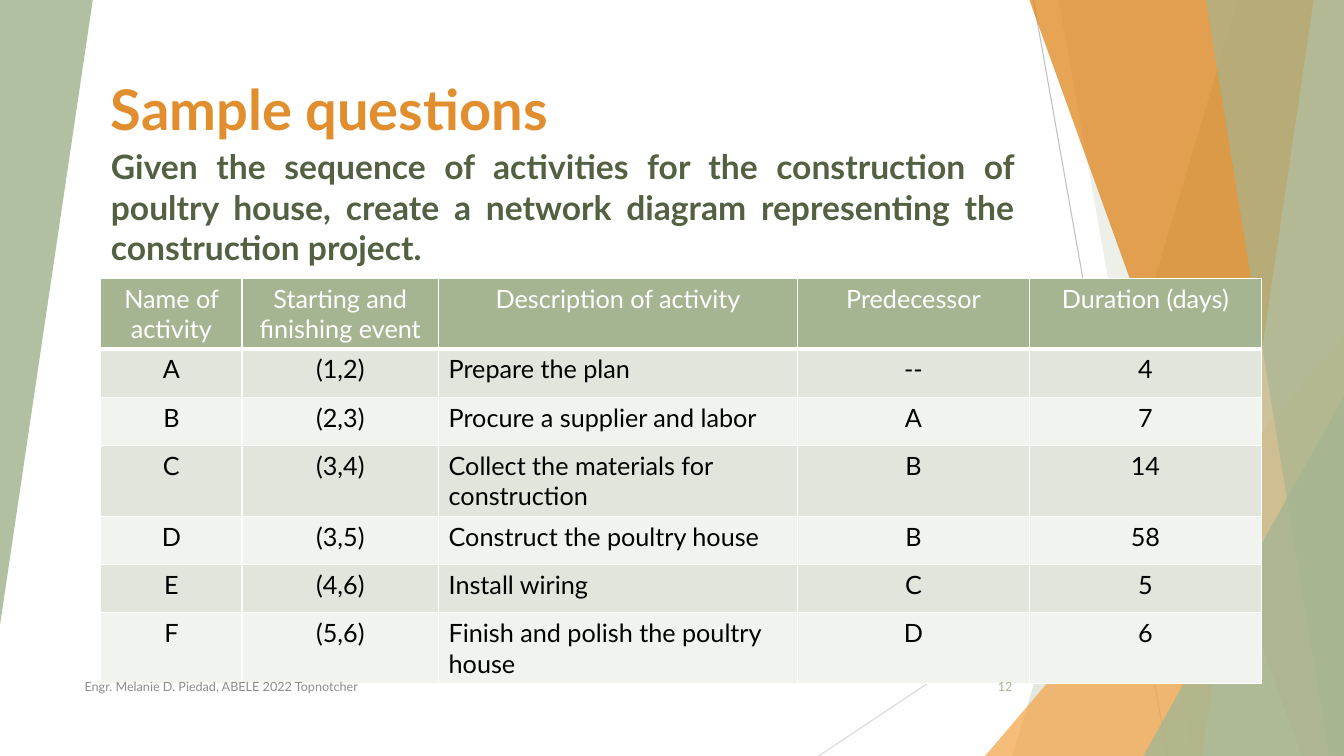
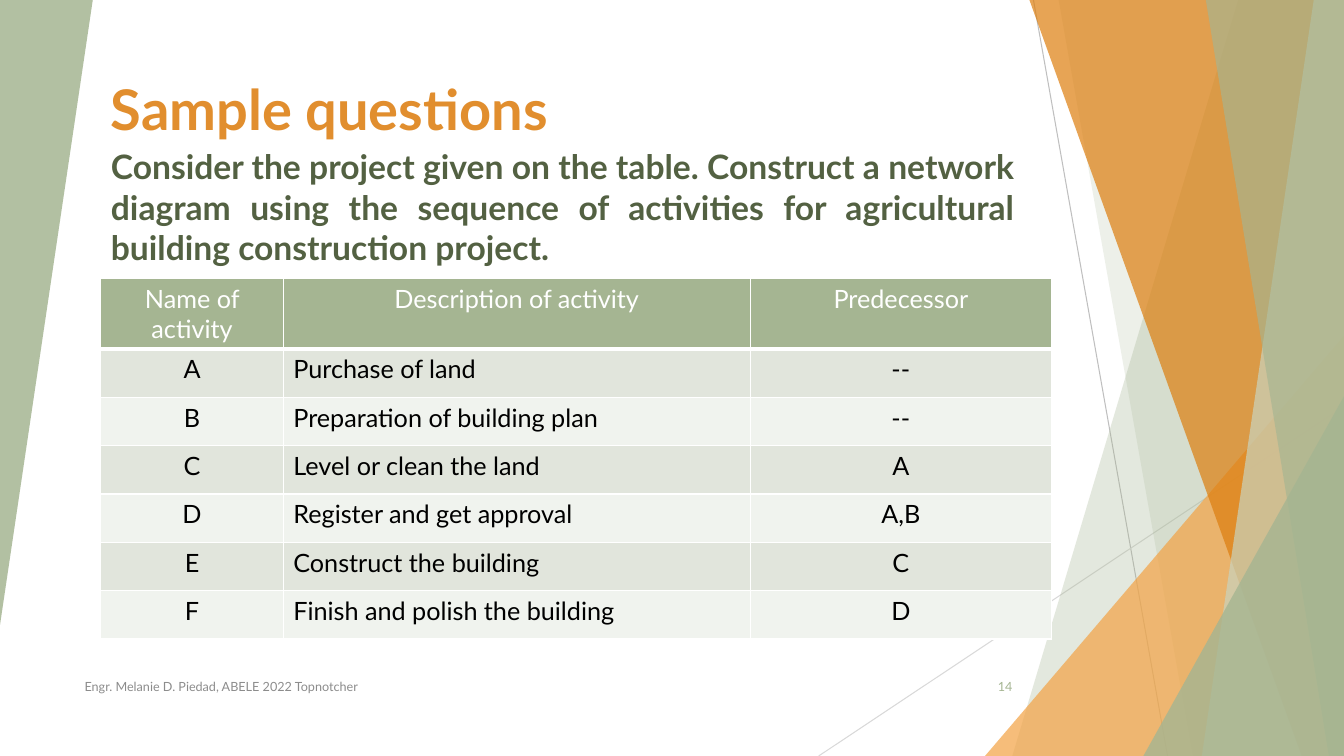
from lxml.etree import SubElement
from pptx import Presentation
from pptx.dml.color import RGBColor
from pptx.enum.shapes import MSO_CONNECTOR, MSO_SHAPE
from pptx.enum.text import MSO_ANCHOR, MSO_AUTO_SIZE, PP_ALIGN
from pptx.oxml.ns import qn
from pptx.util import Inches, Pt

FONT = "Lato"
WHITE = RGBColor(0xFF, 0xFF, 0xFF)
BLACK = RGBColor(0x00, 0x00, 0x00)
SAGE = RGBColor(0xA5, 0xB5, 0x92)
PALE_SAGE = RGBColor(0xC9, 0xD3, 0xBE)
DARK_SAGE = RGBColor(0x53, 0x61, 0x42)
ORANGE = RGBColor(0xE1, 0x8E, 0x2E)
LIGHT_ORANGE = RGBColor(0xF3, 0xA4, 0x47)
DEEP_ORANGE = RGBColor(0xDD, 0x7E, 0x0E)
GREY = RGBColor(0x8C, 0x8C, 0x8C)
MID_GREY = RGBColor(0xBF, 0xBF, 0xBF)
LIGHT_GREY = RGBColor(0xD9, 0xD9, 0xD9)
ROW_FILLS = [RGBColor(0xE1, 0xE5, 0xDC), RGBColor(0xF0, 0xF3, 0xEE)]

WIDTH, HEIGHT = 13.33, 7.5
ROW_HEIGHT = 0.48
TITLE = "Sample questions"
FOOTER = "Engr. Melanie D. Piedad, ABELE 2022 Topnotcher"
DESCRIPTION = "Description of activity"

SLIDES = [
    {
        "number": "12",
        "question": "Given the sequence of activities for the construction of poultry house, "
                    "create a network diagram representing the construction project.",
        "widths": [1.4, 1.95, 3.56, 2.3, 2.3],
        "rows": [
            ("Name of activity", "Starting and finishing event", DESCRIPTION,
             "Predecessor", "Duration (days)"),
            ("A", "(1,2)", "Prepare the plan", "--", "4"),
            ("B", "(2,3)", "Procure a supplier and labor", "A", "7"),
            ("C", "(3,4)", "Collect the materials for construction", "B", "14"),
            ("D", "(3,5)", "Construct the poultry house", "B", "58"),
            ("E", "(4,6)", "Install wiring", "C", "5"),
            ("F", "(5,6)", "Finish and polish the poultry house", "D", "6"),
        ],
    },
    {
        "number": "14",
        "question": "Consider the project given on the table. Construct a network diagram "
                    "using the sequence of activities for agricultural building "
                    "construction project.",
        "widths": [1.81, 4.63, 2.99],
        "rows": [
            ("Name of activity", DESCRIPTION, "Predecessor"),
            ("A", "Purchase of land", "--"),
            ("B", "Preparation of building plan", "--"),
            ("C", "Level or clean the land", "A"),
            ("D", "Register and get approval", "A,B"),
            ("E", "Construct the building", "C"),
            ("F", "Finish and polish the building", "D"),
        ],
    },
]

# Start, end, colour
LINES = [
    ((10.25, 0), (11.58, HEIGHT), MID_GREY),
    ((WIDTH, 4.03), (8.12, HEIGHT), LIGHT_GREY),
]
# Bands run to the right edge: (left x at top, left x at bottom), colour, opacity %
# Triangles: (left, top, width, height), rotation, colour, opacity %
FACETS = [
    ("band", (12.28, 10.04), SAGE, 30),
    ("band", (10.5, 11.83), SAGE, 20),
    ("triangle", (9.77, 3.33, 3.56, 4.17), 0, LIGHT_ORANGE, 72),
    ("band", (10.21, 12.91), DEEP_ORANGE, 70),
    ("band", (13.03, 11.92), PALE_SAGE, 70),
    ("band", (11.96, 13.18), SAGE, 65),
    ("triangle", (11.34, 3.93, 1.99, 3.57), 0, SAGE, 80),
    ("triangle", (0, 0, 0.92, 6.2), 180, SAGE, 85),
]


def inches(values):
    return [Inches(value) for value in values]


def add_line(shapes, start, end, color):
    line = shapes.add_connector(MSO_CONNECTOR.STRAIGHT, *inches(start + end))
    line.line.color.rgb = color
    line.line.width = Pt(0.75)
    SubElement(line.element.spPr, qn("a:effectLst"))
    return line


def add_band(shapes, edge):
    top_x, bottom_x = edge
    builder = shapes.build_freeform(Inches(top_x), 0)
    corners = [(WIDTH, 0), (WIDTH, HEIGHT), (bottom_x, HEIGHT)]
    builder.add_line_segments([inches(corner) for corner in corners], close=True)
    return builder.convert_to_shape()


def add_triangle(shapes, box, rotation):
    triangle = shapes.add_shape(MSO_SHAPE.ISOSCELES_TRIANGLE, *inches(box))
    triangle.adjustments[0] = 1.0
    triangle.rotation = rotation
    return triangle


def add_facet(shapes, kind, *details):
    *geometry, color, opacity = details
    shape = {"band": add_band, "triangle": add_triangle}[kind](shapes, *geometry)
    shape.shadow.inherit = False
    shape.fill.solid()
    shape.fill.fore_color.rgb = color
    shape.line.fill.background()
    color_element = next(shape.element.spPr.iter(qn("a:srgbClr")))
    SubElement(color_element, qn("a:alpha"), val=str(opacity * 1000))
    return shape


def decorate_master(presentation, slide):
    """Draw the facets on a slide, then move them behind everything on the master."""
    decorations = [add_line(slide.shapes, *line) for line in LINES]
    decorations += [add_facet(slide.shapes, *facet) for facet in FACETS]
    tree = presentation.slide_master.element.cSld.spTree
    for index, shape in enumerate(decorations, start=2):
        tree.insert(index, shape.element)


def write(frame, text, size, color, bold=False, align=PP_ALIGN.LEFT):
    paragraph = frame.paragraphs[0]
    paragraph.alignment = align
    paragraph.space_before = Pt(0)
    run = paragraph.add_run()
    run.text = text
    run.font.name = FONT
    run.font.size = Pt(size)
    run.font.bold = bold
    run.font.color.rgb = color
    return paragraph


def fill_placeholder(shape, box, text, size, color, anchor):
    shape.left, shape.top, shape.width, shape.height = inches(box)
    frame = shape.text_frame
    frame.word_wrap = True
    frame.auto_size = MSO_AUTO_SIZE.NONE
    frame.vertical_anchor = anchor
    return write(frame, text, size, color, True, PP_ALIGN.JUSTIFY)


def add_footer_text(slide, box, text, color, align):
    frame = slide.shapes.add_textbox(*inches(box)).text_frame
    frame.word_wrap = True
    frame.vertical_anchor = MSO_ANCHOR.MIDDLE
    write(frame, text, 9, color, align=align)


def set_borders(cell, top, bottom):
    properties = cell._tc.get_or_add_tcPr()
    for side, width in (("L", 1), ("R", 1), ("T", top), ("B", bottom)):
        border = SubElement(properties, qn(f"a:ln{side}"), w=str(Pt(width)))
        fill = SubElement(border, qn("a:solidFill"))
        SubElement(fill, qn("a:srgbClr"), val=str(WHITE))


def add_activity_table(slide, widths, rows):
    box = (1, 2.76, sum(widths), ROW_HEIGHT * len(rows))
    table = slide.shapes.add_table(len(rows), len(widths), *inches(box)).table
    table.horz_banding = False
    for column, width in zip(table.columns, widths):
        column.width = Inches(width)
    description_column = rows[0].index(DESCRIPTION)
    for row_index, row in enumerate(rows):
        table.rows[row_index].height = Inches(ROW_HEIGHT)
        header = row_index == 0
        for column_index, text in enumerate(row):
            cell = table.cell(row_index, column_index)
            set_borders(cell, 3 if row_index == 1 else 1, 3 if header else 1)
            cell.fill.solid()
            cell.fill.fore_color.rgb = SAGE if header else ROW_FILLS[(row_index - 1) % 2]
            left = column_index == description_column and not header
            write(cell.text_frame, text, 18, WHITE if header else BLACK,
                  align=PP_ALIGN.LEFT if left else PP_ALIGN.CENTER)


def add_question_slide(presentation, content):
    slide = presentation.slides.add_slide(presentation.slide_layouts[1])
    fill_placeholder(slide.shapes.title, (1, 0.74, 6.53, 0.67), TITLE, 40, ORANGE,
                     MSO_ANCHOR.MIDDLE)
    question = fill_placeholder(slide.placeholders[1], (1, 1.4, 9.16, 4.93),
                                content["question"], 24, DARK_SAGE, MSO_ANCHOR.TOP)
    properties = question._p.get_or_add_pPr()
    properties.set("marL", "0")
    properties.set("indent", "0")
    SubElement(properties, qn("a:buNone"))
    add_activity_table(slide, content["widths"], content["rows"])
    add_footer_text(slide, (0.74, 6.61, 6.89, 0.4), FOOTER, GREY, PP_ALIGN.LEFT)
    add_footer_text(slide, (9.39, 6.61, 0.75, 0.4), content["number"], SAGE,
                    PP_ALIGN.RIGHT)
    return slide


def main():
    presentation = Presentation()
    presentation.slide_width = Inches(WIDTH)
    presentation.slide_height = Inches(HEIGHT)
    slides = [add_question_slide(presentation, content) for content in SLIDES]
    decorate_master(presentation, slides[0])
    presentation.save("out.pptx")


if __name__ == "__main__":
    main()
